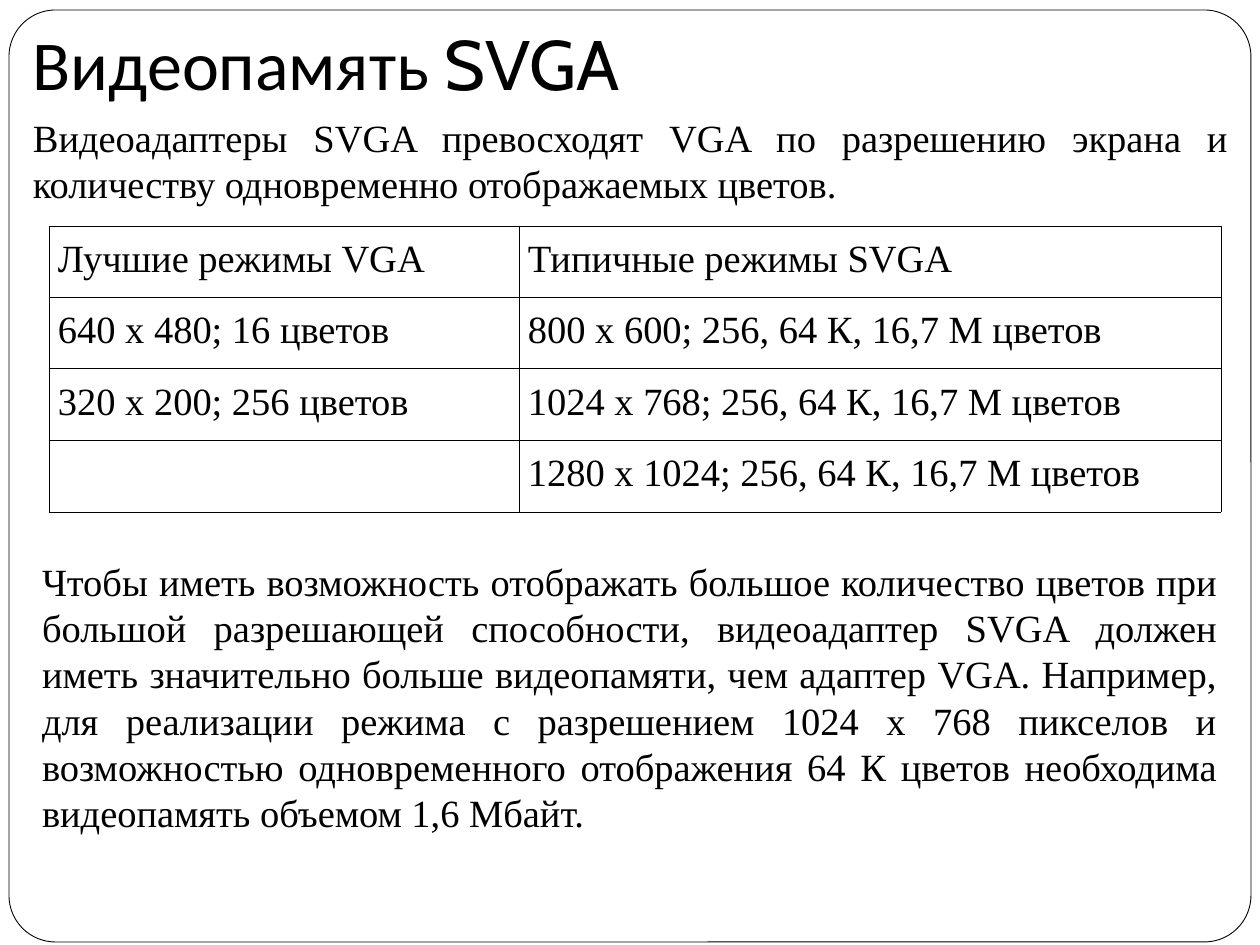
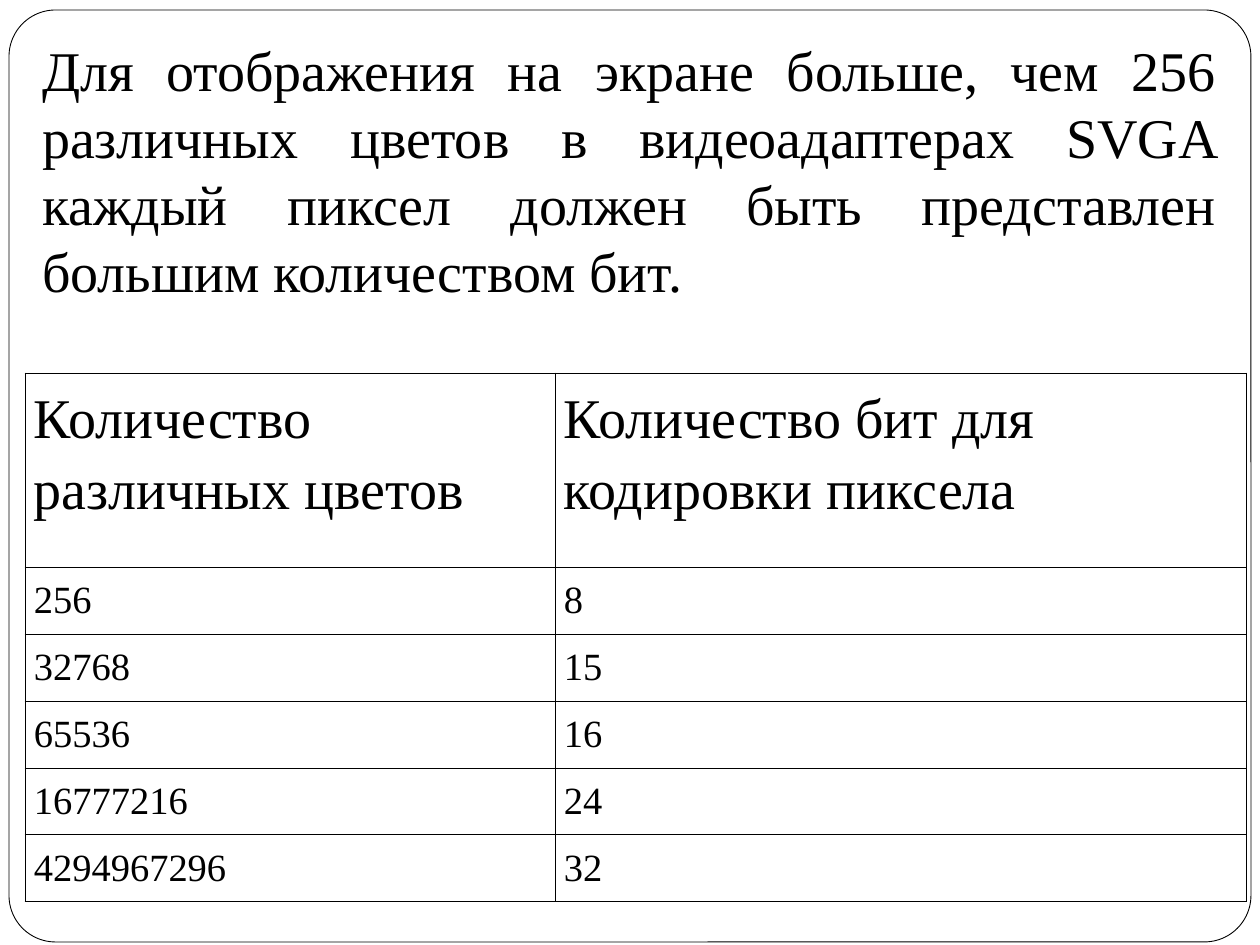
from lxml import etree
from pptx import Presentation
from pptx import util as u
from pptx.dml.color import RGBColor
from pptx.enum import shapes, text
from pptx.oxml import ns

BLACK = RGBColor(0, 0, 0)
WHITE = RGBColor(255, 255, 255)
BODY_FONT = "Times New Roman"
PX = 914400 / 126
SLIDE_SIZE = (1260, 945)
FRAME = (9, 10, 1242, 932)
FRAME_ROUNDING = 0.05
BORDER_PT = 0.45
TEXT_PT = 22
LARGE_PT = 32

SLIDES = [
    {
        "title": [("Видеопамять ", "Calibri"), ("SVGA", "Cabin")],
        "title_box": (20, 21, 1071, 97),
        "paragraphs": [
            ((20, 108, 1221, 106), TEXT_PT,
             "Видеоадаптеры SVGA превосходят VGA по разрешению экрана и "
             "количеству одновременно отображаемых цветов."),
            ((29, 552, 1201, 290), TEXT_PT,
             "Чтобы иметь возможность отображать большое количество цветов при "
             "большой разрешающей способности, видеоадаптер SVGA должен иметь "
             "значительно больше видеопамяти, чем адаптер VGA. Например, для "
             "реализации режима с разрешением 1024 x 768 пикселов и возможностью "
             "одновременного отображения 64 К цветов необходима видеопамять "
             "объемом 1,6 Мбайт."),
        ],
        "table": {
            "corner": (49, 226), "columns": (470, 702),
            "header_height": 71, "body_height": 215, "header_pt": TEXT_PT,
            "rows": [
                ("Лучшие режимы VGA", "Типичные режимы SVGA"),
                ("640 x 480; 16 цветов", "800 x 600; 256, 64 К, 16,7 М цветов"),
                ("320 x 200; 256 цветов", "1024 x 768; 256, 64 К, 16,7 М цветов"),
                ("", "1280 x 1024; 256, 64 К, 16,7 М цветов"),
            ],
        },
    },
    {
        "paragraphs": [
            ((29, 29, 1201, 282), LARGE_PT,
             "Для отображения на экране больше, чем 256 различных цветов в "
             "видеоадаптерах SVGA каждый пиксел должен быть представлен большим "
             "количеством бит."),
        ],
        "table": {
            "corner": (25, 373), "columns": (530, 691),
            "header_height": 194, "body_height": 335, "header_pt": LARGE_PT,
            "rows": [
                ("Количество различных цветов", "Количество бит для кодировки пиксела"),
                ("256", "8"),
                ("32768", "15"),
                ("65536", "16"),
                ("16777216", "24"),
                ("4294967296", "32"),
            ],
        },
    },
]


def emu(*lengths):
    return [u.Emu(round(length * PX)) for length in lengths]


def write(frame, runs, size=TEXT_PT, align=text.PP_ALIGN.LEFT, spacing=1.0,
          anchor=text.MSO_ANCHOR.TOP, margins=(13, 6, 13, 6)):
    frame.word_wrap = True
    frame.auto_size = text.MSO_AUTO_SIZE.NONE
    frame.vertical_anchor = anchor
    (frame.margin_left, frame.margin_top,
     frame.margin_right, frame.margin_bottom) = emu(*margins)
    write_runs(frame.paragraphs[0], runs, size, align, spacing)


def write_runs(paragraph, runs, size, align, spacing):
    paragraph.alignment = align
    paragraph.line_spacing = spacing
    for words, font_name in runs:
        run = paragraph.add_run()
        run.text = words
        run.font.name = font_name
        run.font.size = u.Pt(size)
        run.font.color.rgb = BLACK


def add_frame(slide):
    frame = slide.shapes.add_shape(shapes.MSO_SHAPE.ROUNDED_RECTANGLE, *emu(*FRAME))
    frame.adjustments[0] = FRAME_ROUNDING
    frame.shadow.inherit = False
    frame.fill.solid()
    frame.fill.fore_color.rgb = WHITE
    frame.line.color.rgb = BLACK
    frame.line.width = u.Pt(0.5)
    slide.shapes.element.insert(2, frame.element)


def add_borders(cell):
    properties = cell.fill._xPr
    for position, side in enumerate(("lnL", "lnR", "lnT", "lnB")):
        line = etree.Element(ns.qn(f"a:{side}"), w=str(u.Pt(BORDER_PT)))
        solid = etree.SubElement(line, ns.qn("a:solidFill"))
        etree.SubElement(solid, ns.qn("a:srgbClr"), val=str(BLACK))
        properties.insert(position, line)


def add_modes_table(slide, corner, columns, header_height, body_height, header_pt, rows):
    size = (sum(columns), header_height + body_height)
    table = slide.shapes.add_table(len(rows), len(columns), *emu(*corner, *size)).table
    table.first_row = table.horz_banding = False
    for column, width in zip(table.columns, emu(*columns)):
        column.width = width
    body_row = body_height / (len(rows) - 1)
    for index, values in enumerate(rows):
        table.rows[index].height = emu(body_row if index else header_height)[0]
        for cell, value in zip(table.rows[index].cells, values):
            cell.margin_left, cell.margin_right = emu(9, 9)
            cell.margin_top, cell.margin_bottom = emu(6, 6)
            cell.fill.background()
            add_borders(cell)
            if value:
                write_runs(cell.text_frame.paragraphs[0], [(value, BODY_FONT)],
                           TEXT_PT if index else header_pt, text.PP_ALIGN.LEFT, 1.15)


def main():
    deck = Presentation()
    deck.slide_width, deck.slide_height = emu(*SLIDE_SIZE)
    title_only, blank = deck.slide_layouts[5], deck.slide_layouts[6]
    for content in SLIDES:
        slide = deck.slides.add_slide(title_only if "title" in content else blank)
        add_frame(slide)
        if "title" in content:
            title = slide.shapes.title
            title.left, title.top, title.width, title.height = emu(*content["title_box"])
            write(title.text_frame, content["title"], size=40,
                  anchor=text.MSO_ANCHOR.BOTTOM, margins=(13, 6, 13, 13))
        for box, size, words in content["paragraphs"]:
            paragraph_box = slide.shapes.add_textbox(*emu(*box))
            write(paragraph_box.text_frame, [(words, BODY_FONT)], size=size,
                  align=text.PP_ALIGN.JUSTIFY)
        add_modes_table(slide, **content["table"])
    deck.save("out.pptx")


if __name__ == "__main__":
    main()
